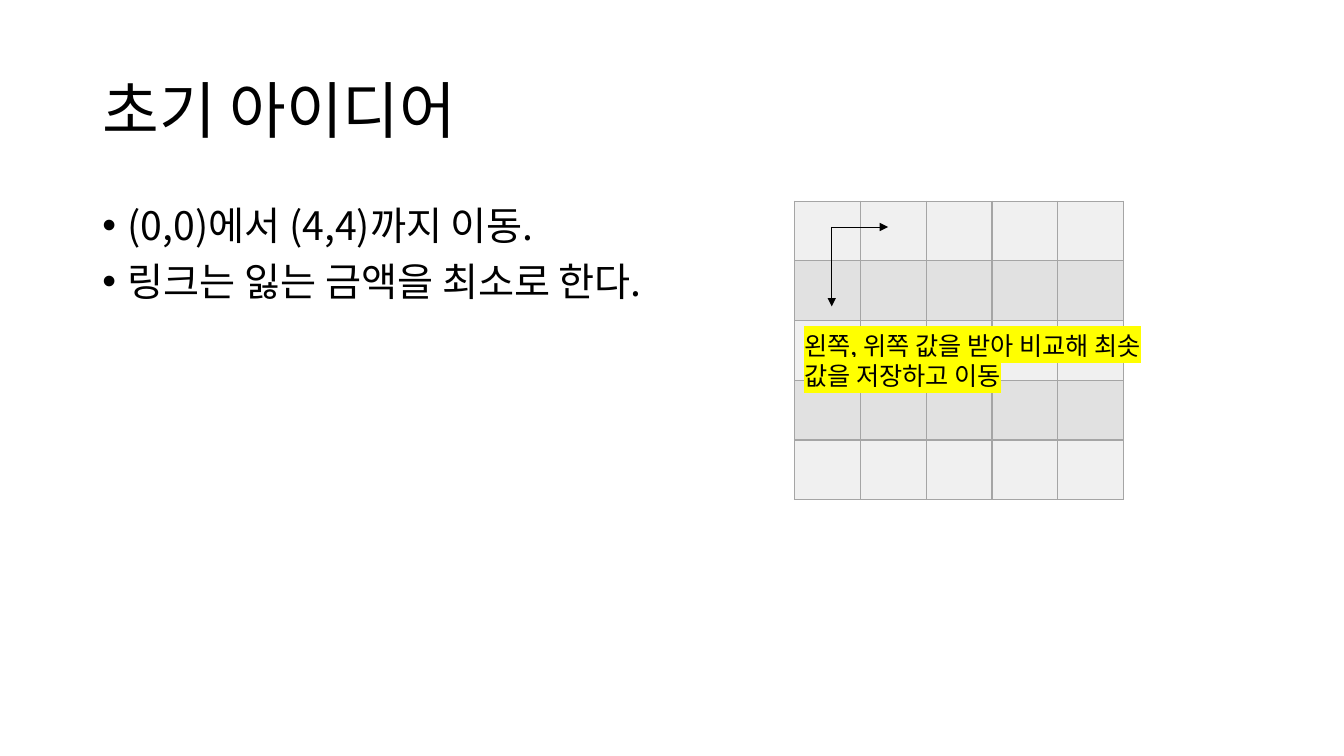
from pptx import Presentation
from pptx.dml.color import RGBColor
from pptx.enum.shapes import MSO_CONNECTOR as Connector
from pptx.enum.text import MSO_ANCHOR as Anchor, MSO_AUTO_SIZE as AutoSize, PP_ALIGN as Align
from pptx.oxml.ns import qn
from pptx.util import Cm, Pt
from lxml.etree import SubElement

FONT = "Noto Sans CJK KR"


def color(value):
    return RGBColor.from_string(value)


def add_span(para, text, size, highlight=None):
    span = para.add_run()
    span.text = text
    span.font.size = Pt(size)
    span.font.color.rgb = color("000000")
    props = span.font._element
    if highlight:
        mark = SubElement(props, qn("a:highlight"))
        SubElement(mark, qn("a:srgbClr"), val=highlight)
    for script in ("a:latin", "a:ea"):
        SubElement(props, qn(script), typeface=FONT)


deck = Presentation()
deck.slide_width, deck.slide_height = Cm(33.87), Cm(19.05)
page = deck.slides.add_slide(deck.slide_layouts[5])

# Title
title = page.shapes.title
title.left, title.top, title.width, title.height = Cm(2.33), Cm(1.01), Cm(29.21), Cm(3.68)
title.text_frame.vertical_anchor = Anchor.MIDDLE
title.text_frame.word_wrap = True
para = title.text_frame.paragraphs[0]
para.alignment = Align.LEFT
para.line_spacing = 0.9
add_span(para, "초기 아이디어", 44)

# Bullet list
box = page.shapes.add_textbox(Cm(2.33), Cm(5.07), Cm(17.68), Cm(12.09))
box.text_frame.word_wrap = True
ideas = ["(0,0)에서 (4,4)까지 이동.", "링크는 잃는 금액을 최소로 한다."]
for number, idea in enumerate(ideas):
    para = box.text_frame.add_paragraph() if number else box.text_frame.paragraphs[0]
    props = para._p.get_or_add_pPr()
    props.set("marL", str(Cm(0.64)))
    props.set("indent", str(Cm(-0.64)))
    SubElement(props, qn("a:buFont"), typeface="Arial")
    SubElement(props, qn("a:buChar"), char="•")
    para.line_spacing = 0.9
    para.space_before = Pt(10 if number else 0)
    add_span(para, idea, 28)

# Banded 5 x 5 grid
SIZE = 5
grid = page.shapes.add_table(SIZE, SIZE, Cm(20.02), Cm(5.07), Cm(8.3), Cm(7.52)).table
grid.first_row = grid.horz_banding = False
for row in range(SIZE):
    for column in range(SIZE):
        cell = grid.cell(row, column)
        props = cell._tc.get_or_add_tcPr()
        for side in ("a:lnL", "a:lnR", "a:lnT", "a:lnB"):
            border = SubElement(props, qn(side), w=str(Pt(1)))
            paint = SubElement(border, qn("a:solidFill"))
            SubElement(paint, qn("a:srgbClr"), val="A5A5A5")
        cell.fill.solid()
        cell.fill.fore_color.rgb = color("E1E1E1" if row % 2 else "F0F0F0")

# Arrows to the right and down
start_x, start_y = Cm(20.96), Cm(5.72)
for end_x, end_y in [(Cm(22.38), start_y), (start_x, Cm(7.72))]:
    arrow = page.shapes.add_connector(Connector.STRAIGHT, start_x, start_y, end_x, end_y)
    arrow.line.color.rgb = color("000000")
    arrow.line.width = Pt(0.5)
    SubElement(arrow.line._get_or_add_ln(), qn("a:tailEnd"), type="triangle")
    SubElement(arrow._element.spPr, qn("a:effectLst"))

# Highlighted note
note = page.shapes.add_textbox(Cm(20.02), Cm(8.2), Cm(9.14), Cm(1.8))
note.text_frame.word_wrap = True
note.text_frame.auto_size = AutoSize.SHAPE_TO_FIT_TEXT
add_span(note.text_frame.paragraphs[0],
         "왼쪽, 위쪽 값을 받아 비교해 최솟 값을 저장하고 이동", 18, "FFFF00")

deck.save("out.pptx")
